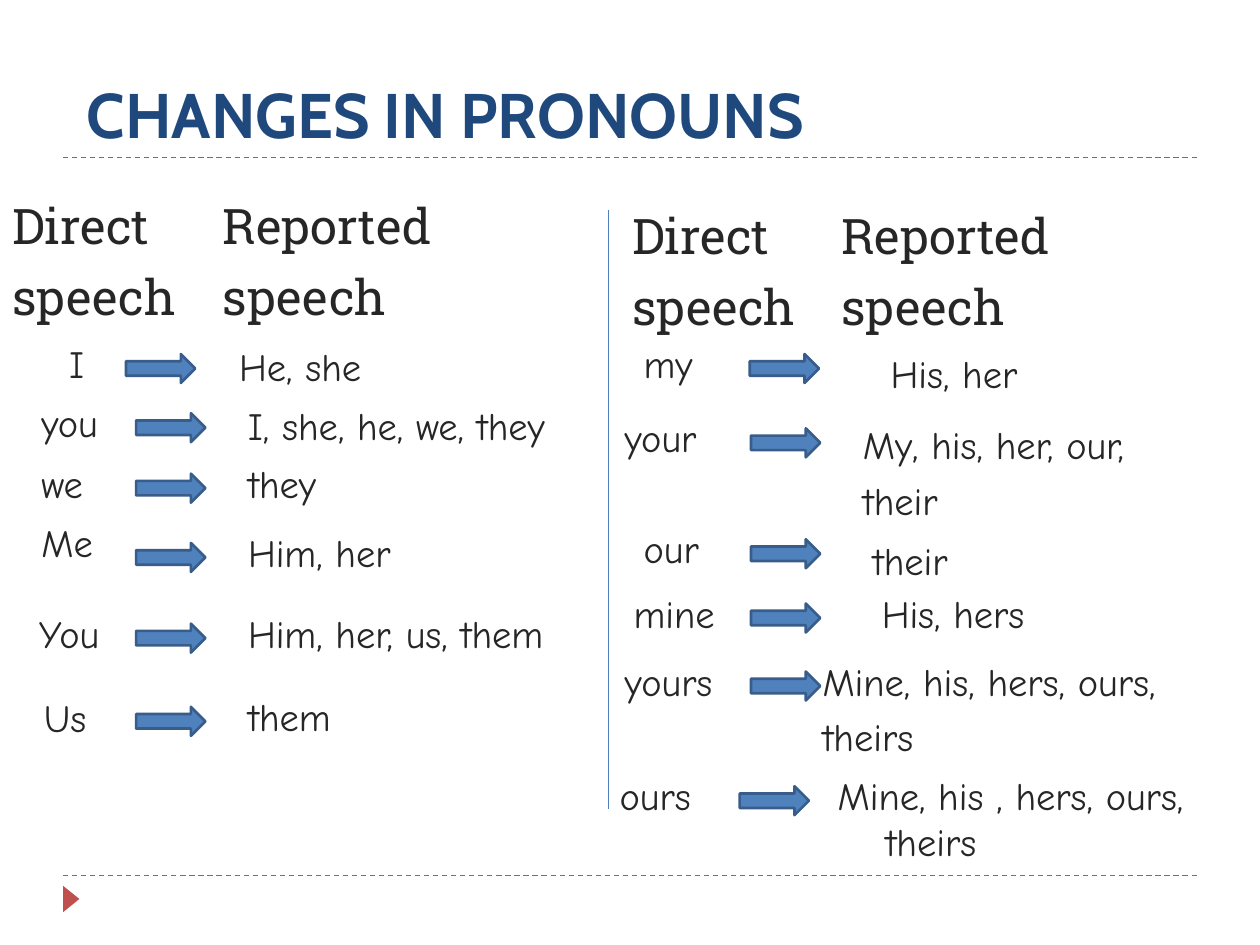
from collections import namedtuple

from lxml import etree
from pptx import Presentation
from pptx.dml.color import RGBColor
from pptx.enum.dml import MSO_LINE
from pptx.enum.shapes import MSO_CONNECTOR, MSO_SHAPE
from pptx.enum.text import MSO_ANCHOR, PP_ALIGN
from pptx.oxml.ns import qn
from pptx.util import Inches, Pt

DASH = MSO_LINE.DASH
STRAIGHT = MSO_CONNECTOR.STRAIGHT
RIGHT_ARROW, TRIANGLE = MSO_SHAPE.RIGHT_ARROW, MSO_SHAPE.ISOSCELES_TRIANGLE
TOP, BOTTOM = MSO_ANCHOR.TOP, MSO_ANCHOR.BOTTOM
LEFT = PP_ALIGN.LEFT

WIDTH, HEIGHT = 10, 7.5
MARGIN = WIDTH * 0.05
NAVY, INK, RED, BLUE, EDGE = "1F497D", "262626", "C0504D", "4F81BD", "385D8A"
HANG = 0.38
ROW_HEIGHT = 0.62
ARROW_SIZE, ARROW_DROP = (0.55, 0.23), 0.16

TITLE = "CHANGES IN PRONOUNS"
# left, top, width, lines
HEADINGS = [
    (0, 1.5, 3.29, ["Direct", "speech"]),
    (1.67, 1.5, 2.17, ["Reported", "speech"]),
    (4.92, 1.58, 3.29, ["Direct", "speech"]),
    (6.58, 1.58, 2.17, ["Reported", "speech"]),
]

# start is the first-line indent inside the box; shift moves it off the row's top
Entry = namedtuple("Entry", "lines left width start shift", defaults=(0, 0))
# row top, direct speech, arrow left, reported speech
PRONOUNS = [
    (2.65, Entry(["I"], 0.07, 1.02, HANG), 1,
     Entry(["He, she"], 1.42, 3.13, HANG, 0.02)),
    (3.12, Entry(["you"], 0.23, 0.87), 1.08,
     Entry(["I, she, he, we, they"], 1.49, 3.83, HANG, 0.02)),
    (3.6, Entry(["we"], 0.23, 0.87), 1.08,
     Entry(["they"], 1.49, 3.12, HANG)),
    (4.15, Entry(["Me"], 0.23, 1.02, 0, -0.08), 1.08,
     Entry(["Him, her"], 1.49, 3.12, HANG)),
    (4.79, Entry(["You"], -0.17, 1.48, HANG), 1.08,
     Entry(["Him, her, us, them"], 1.49, 3.52, HANG)),
    (5.45, Entry(["Us"], -0.56, 1.81, 0.81, 0.01), 1.08,
     Entry(["them"], 1.49, 3.52, HANG)),
    (2.65, Entry(["my"], 5.01, 0.71), 5.95,
     Entry(["His, her"], 6.59, 3.13, HANG, 0.08)),
    (3.24, Entry(["your"], 4.86, 1.16), 5.96,
     Entry(["My, his, her, our,", "their"], 6.75, 3.83, 0, 0.05)),
    (4.12, Entry(["our"], 5.01, 0.85), 5.96,
     Entry(["their"], 6.83, 2.17, 0, 0.09)),
    (4.63, Entry(["mine"], 4.93, 1.01), 5.96,
     Entry(["His, hers"], 6.9, 3.13)),
    (5.17, Entry(["yours"], 4.86, 1.08), 5.96,
     Entry(["Mine, his, hers, ours,", "theirs"], 6.43, 5.16)),
    (6.08, Entry(["ours"], 4.82, 1.24), 5.87,
     Entry(["Mine, his , hers, ours, theirs"], 6.55, 3.7)),
]


def color(hex_string):
    return RGBColor.from_string(hex_string)


def add_text(slide, lines, left, top, width, height, *, font, size, ink=INK,
             bold=False, anchor=TOP, start=0, hang=HANG, space=0):
    box = slide.shapes.add_textbox(*map(Inches, (left, top, width, height)))
    frame = box.text_frame
    frame.word_wrap = True
    frame.vertical_anchor = anchor
    margin = max(start, hang)
    for number, line in enumerate(lines):
        para = frame.add_paragraph() if number else frame.paragraphs[0]
        properties = para._p.get_or_add_pPr()
        properties.set("marL", str(Inches(margin)))
        properties.set("indent", str(Inches(start - margin)))
        para.alignment = LEFT
        para.space_before = Pt(space if number else 0)
        span = para.add_run()
        span.text = line
        span.font.name, span.font.size, span.font.bold = font, Pt(size), bold
        span.font.color.rgb = color(ink)


def add_line(slide, start, end, ink, dash=None):
    line = slide.shapes.add_connector(STRAIGHT, *map(Inches, (*start, *end)))
    line.line.color.rgb = color(ink)
    line.line.width = Pt(0.75)
    line.line.dash_style = dash
    etree.SubElement(line._element.spPr, qn("a:effectLst"))


def add_solid(slide, preset, left, top, size, fill, edge=None):
    shape = slide.shapes.add_shape(preset, *map(Inches, (left, top, *size)))
    shape.shadow.inherit = False
    shape.fill.solid()
    shape.fill.fore_color.rgb = color(fill)
    if edge:
        shape.line.color.rgb = color(edge)
        shape.line.width = Pt(1.5)
    else:
        shape.line.fill.background()
    return shape


def add_entry(slide, entry, row_top):
    add_text(slide, entry.lines, entry.left, row_top + entry.shift, entry.width,
             ROW_HEIGHT, font="Comic Neue", size=22, start=entry.start, space=5.5)


def main():
    deck = Presentation()
    deck.slide_width, deck.slide_height = Inches(WIDTH), Inches(HEIGHT)
    slide = deck.slides.add_slide(deck.slide_layouts[6])

    for y in (6.95, 1.25):
        add_line(slide, (MARGIN, y), (WIDTH - MARGIN, y), RED, DASH)
    marker = add_solid(slide, TRIANGLE, 0.46, 7.07, (0.21, 0.13), RED)
    marker.rotation = 90

    add_text(slide, [TITLE], 0.59, 0.6, 9, 0.65, font="Cabin", size=36,
             ink=NAVY, bold=True, anchor=BOTTOM, hang=0)
    for left, top, width, lines in HEADINGS:
        add_text(slide, lines, left, top, width, 0.77,
                 font="Roboto Slab", size=28, space=7)
    for top, direct, arrow_left, reported in PRONOUNS:
        add_entry(slide, direct, top)
        add_entry(slide, reported, top)
        add_solid(slide, RIGHT_ARROW, arrow_left, top + ARROW_DROP,
                  ARROW_SIZE, BLUE, EDGE)
    add_line(slide, (4.83, 1.67), (4.83, 6.42), BLUE)

    deck.save("out.pptx")


if __name__ == "__main__":
    main()
